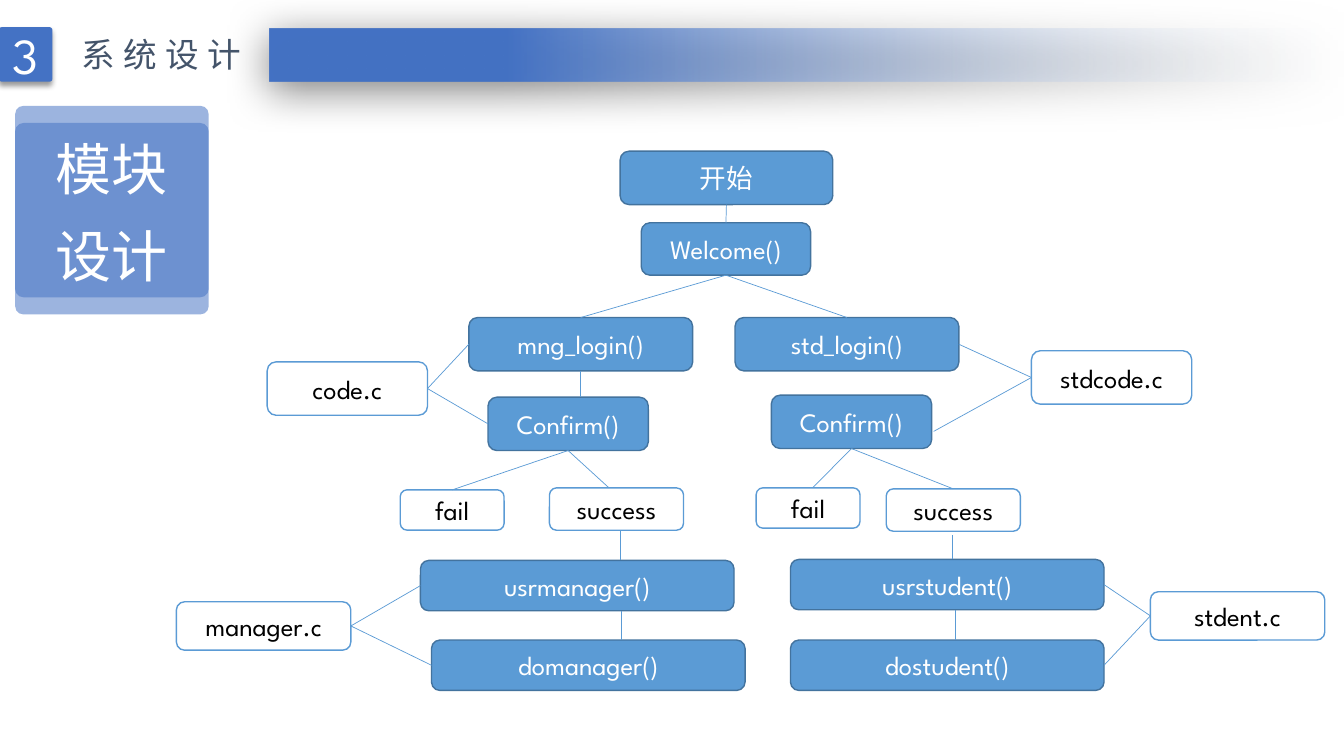
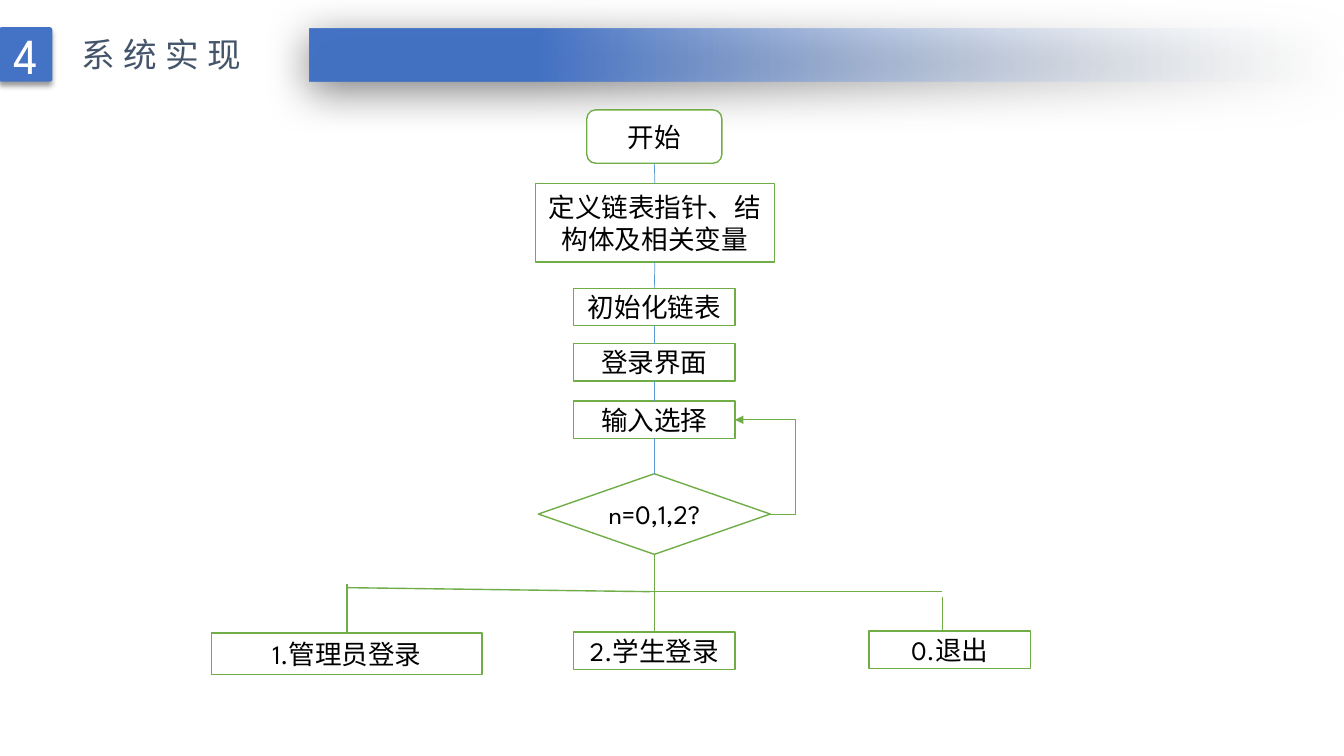
from lxml import etree
from pptx import Presentation
from pptx import util as u
from pptx.dml.color import RGBColor
from pptx.enum import shapes, text
from pptx.oxml.ns import qn

WHITE = RGBColor(0xFF, 0xFF, 0xFF)
BLACK = RGBColor(0x00, 0x00, 0x00)
ROYAL = RGBColor(0x44, 0x72, 0xC4)
PALE = RGBColor(0xF7, 0xFA, 0xFD)
SLATE = RGBColor(0x44, 0x54, 0x6A)
SKY = RGBColor(0x5B, 0x9B, 0xD5)
STEEL = RGBColor(0x43, 0x73, 0x9E)
GREEN = RGBColor(0x70, 0xAD, 0x47)

LATIN, CHINESE = "League Spartan", "Noto Sans CJK SC"
SLIDE_WIDTH = 13.33
RECT = shapes.MSO_SHAPE.RECTANGLE
ROUND = shapes.MSO_SHAPE.ROUNDED_RECTANGLE
DECISION = shapes.MSO_SHAPE.FLOWCHART_DECISION
TOP, LEFT, BOTTOM, RIGHT = range(4)

# Node styles: fill, outline, text colour
CALL = (SKY, STEEL, WHITE)
FILE = (WHITE, SKY, BLACK)
STEP = (WHITE, GREEN, BLACK)

# Nodes: key: (text, style, preset, left, top, width, height)
MODULE_NODES = {
    "start": ("开始", CALL, ROUND, 6.15, 1.5, 2.11, 0.53),
    "welcome": ("Welcome()", CALL, ROUND, 6.36, 2.21, 1.68, 0.52),
    "std_login": ("std_login()", CALL, ROUND, 7.29, 3.15, 2.22, 0.53),
    "mng_login": ("mng_login()", CALL, ROUND, 4.65, 3.15, 2.22, 0.53),
    "mng_confirm": ("Confirm()", CALL, ROUND, 4.84, 3.94, 1.59, 0.53),
    "usrmanager": ("usrmanager()", CALL, ROUND, 4.17, 5.56, 3.11, 0.5),
    "manager.c": ("manager.c", FILE, ROUND, 1.75, 5.97, 1.73, 0.48),
    "mng_success": ("success", FILE, ROUND, 5.45, 4.84, 1.33, 0.42),
    "mng_fail": ("fail", FILE, ROUND, 3.97, 4.86, 1.03, 0.4),
    "code.c": ("code.c", FILE, ROUND, 2.65, 3.59, 1.59, 0.53),
    "std_confirm": ("Confirm()", CALL, ROUND, 7.65, 3.92, 1.59, 0.53),
    "usrstudent": ("usrstudent()", CALL, ROUND, 7.84, 5.55, 3.11, 0.5),
    "stdent.c": ("stdent.c", FILE, ROUND, 11.41, 5.87, 1.73, 0.48),
    "std_success": ("success", FILE, ROUND, 8.79, 4.85, 1.33, 0.42),
    "std_fail": ("fail", FILE, ROUND, 7.5, 4.84, 1.03, 0.4),
    "stdcode.c": ("stdcode.c", FILE, ROUND, 10.23, 3.48, 1.59, 0.53),
    "domanager": ("domanager()", CALL, ROUND, 4.28, 6.35, 3.11, 0.5),
    "dostudent": ("dostudent()", CALL, ROUND, 7.84, 6.35, 3.11, 0.5),
}

# Link ends: (node key, side) or a free point (x, y)
MODULE_LINKS = [
    (("start", BOTTOM), ("welcome", TOP)),
    (("welcome", BOTTOM), ("mng_login", TOP)),
    (("welcome", BOTTOM), ("std_login", TOP)),
    (("mng_login", BOTTOM), (5.76, 3.94)),
    (("mng_login", LEFT), ("code.c", RIGHT)),
    (("mng_confirm", LEFT), ("code.c", RIGHT)),
    (("mng_confirm", BOTTOM), ("mng_fail", TOP)),
    (("mng_confirm", BOTTOM), (6.04, 4.84)),
    ((6.15, 5.26), (6.15, 5.56)),
    (("usrmanager", LEFT), ("manager.c", RIGHT)),
    (("domanager", LEFT), ("manager.c", RIGHT)),
    ((6.16, 6.06), (6.16, 6.35)),
    (("std_login", RIGHT), ("stdcode.c", LEFT)),
    (("stdcode.c", LEFT), (9.26, 4.28)),
    (("std_confirm", BOTTOM), (8.06, 4.84)),
    (("std_confirm", BOTTOM), ("std_success", TOP)),
    ((9.45, 5.31), (9.45, 5.55)),
    (("stdent.c", LEFT), ("usrstudent", RIGHT)),
    (("stdent.c", LEFT), ("dostudent", RIGHT)),
    ((9.48, 6.05), (9.48, 6.35)),
]

FLOW_NODES = {
    "start": ("开始", STEP, ROUND, 5.82, 1.09, 1.34, 0.53),
    "define": ("定义链表指针、结构体及相关变量", STEP, RECT, 5.31, 1.82, 2.37, 0.78),
    "init": ("初始化链表", STEP, RECT, 5.69, 2.86, 1.6, 0.37),
    "login": ("登录界面", STEP, RECT, 5.69, 3.41, 1.6, 0.37),
    "input": ("输入选择", STEP, RECT, 5.69, 3.98, 1.6, 0.37),
    "choice": ("n=0,1,2?", STEP, DECISION, 5.34, 4.7, 2.3, 0.8),
    "manager": ("1.管理员登录", STEP, RECT, 2.1, 6.28, 2.68, 0.41),
    "student": ("2.学生登录", STEP, RECT, 5.69, 6.27, 1.6, 0.37),
    "exit": ("0.退出", STEP, RECT, 8.62, 6.26, 1.6, 0.37),
}
FLOW_ORDER = ["start", "define", "init", "login", "input", "choice"]
FLOW_LINKS = [((a, BOTTOM), (b, TOP)) for a, b in zip(FLOW_ORDER, FLOW_ORDER[1:])]
BRANCH_LINKS = [
    (("choice", BOTTOM), ("student", TOP)),
    ((6.45, 5.87), (3.44, 5.83)),
    ((3.44, 5.79), ("manager", TOP)),
    ((6.45, 5.87), (9.34, 5.87)),
    ((9.35, 5.92), (9.35, 6.26)),
]


def add_xml(parent, tag, **attributes):
    values = {name: str(value) for name, value in attributes.items()}
    return etree.SubElement(parent, qn(tag), values)


def set_alpha(shape, index, percent):
    """Set the opacity of one of the colours in a shape's fill."""
    colour = list(shape.element.spPr.iter(qn("a:srgbClr")))[index]
    add_xml(colour, "a:alpha", val=percent * 1000)


def add_shadow(shape, opacity, blur, distance, angle):
    effects = shape.element.spPr.find(qn("a:effectLst"))
    outer = add_xml(effects, "a:outerShdw", blurRad=u.Pt(blur), dist=u.Pt(distance),
                    dir=angle * 60000, algn="ctr", rotWithShape=0)
    add_xml(add_xml(outer, "a:srgbClr", val=BLACK), "a:alpha", val=opacity * 1000)


def add_box(parent, preset, left, top, width, height, fill=None, outline=None):
    box = parent.shapes.add_shape(preset, *map(u.Inches, (left, top, width, height)))
    box.shadow.inherit = False
    if fill is not None:
        box.fill.solid()
        box.fill.fore_color.rgb = fill
    if outline is None:
        box.line.fill.background()
    else:
        box.line.color.rgb = outline
        box.line.width = u.Pt(1)
    return box


def write(box, words, size, colour, latin=LATIN, align=text.PP_ALIGN.CENTER,
          anchor=text.MSO_ANCHOR.MIDDLE):
    frame = box.text_frame
    frame.word_wrap = True
    frame.vertical_anchor = anchor
    para = frame.paragraphs[0]
    para.alignment = align
    span = para.add_run()
    span.text = words
    for name, value in {"size": u.Pt(size), "name": latin}.items():
        setattr(span.font, name, value)
    span.font.color.rgb = colour
    add_xml(span.font._element, "a:ea", typeface=CHINESE)
    return para, span


def add_header(page, number, title, bar_left):
    bar = add_box(page, RECT, bar_left, 0.28, SLIDE_WIDTH - bar_left, 0.53)
    bar.fill.gradient()
    bar.fill.gradient_angle = 180
    for stop, (position, colour) in zip(bar.fill.gradient_stops, [(0, PALE), (0.78, ROYAL)]):
        stop.position = position
        stop.color.rgb = colour
    set_alpha(bar, 0, 0)
    add_shadow(bar, 50, 31, 6, 97)

    tab = add_box(page, ROUND, -0.01, 0.27, 0.53, 0.54, ROYAL)
    tab.adjustments[0] = 0.05
    add_shadow(tab, 40, 4, 3, 90)
    write(tab, number, 36, WHITE)

    box = page.shapes.add_textbox(*map(u.Inches, (0.71, 0.29, 1.88, 0.5)))
    _, span = write(box, title, 24, SLATE, CHINESE, text.PP_ALIGN.LEFT, text.MSO_ANCHOR.TOP)
    span.font._element.set("spc", "600")
    box.text_frame.word_wrap = False
    box.text_frame.auto_size = text.MSO_AUTO_SIZE.SHAPE_TO_FIT_TEXT


def add_badge(page, words):
    """Add two overlapping translucent plates, the front one with text."""
    group = page.shapes.add_group_shape()
    for top in (1.22, 1.05):
        plate = add_box(group, ROUND, 0.15, top, 1.92, 1.9, ROYAL)
        plate.adjustments[0] = 0.044
        set_alpha(plate, 0, 53)
    para, _ = write(plate, words, 40, WHITE, CHINESE)
    para.line_spacing = 1.3


def add_nodes(page, nodes):
    boxes = {}
    for key, (words, (fill, outline, ink), preset, *place) in nodes.items():
        boxes[key] = add_box(page, preset, *place, fill, outline)
        write(boxes[key], words, 19, ink)
    return boxes


def locate(boxes, end):
    """Return the position of a link end in EMU."""
    if end[0] not in boxes:
        return tuple(map(u.Inches, end))
    box, side = boxes[end[0]], end[1]
    across = {LEFT: 0, RIGHT: box.width}.get(side, box.width // 2)
    down = {TOP: 0, BOTTOM: box.height}.get(side, box.height // 2)
    return box.left + across, box.top + down


def add_link(page, boxes, start, end, colour, width, kind=shapes.MSO_CONNECTOR.STRAIGHT):
    link = page.shapes.add_connector(kind, *locate(boxes, start), *locate(boxes, end))
    for join, (key, side) in ((link.begin_connect, start), (link.end_connect, end)):
        if key in boxes:
            join(boxes[key], side)
    link.line.color.rgb = colour
    link.line.width = u.Pt(width)
    add_xml(link.element.spPr, "a:effectLst")
    return link


def add_links(page, boxes, links, colour, width):
    for start, end in links:
        add_link(page, boxes, start, end, colour, width)


def add_return_arrow(page, boxes, start, end):
    """Add an elbow arrow that bulges out to the right of both ends."""
    arrow = add_link(page, boxes, start, end, GREEN, 0.5, shapes.MSO_CONNECTOR.ELBOW)
    properties = arrow.element.spPr
    guides = properties.find(qn("a:prstGeom")).get_or_add_avLst()
    add_xml(guides, "a:gd", name="adj1", fmla="val -72100")
    add_xml(properties.find(qn("a:ln")), "a:tailEnd", type="triangle")


def build_modules(page):
    add_header(page, "3", "系统设计", 2.67)
    add_badge(page, "模块 设计")
    boxes = add_nodes(page, MODULE_NODES)
    add_links(page, boxes, MODULE_LINKS, SKY, 0.5)


def build_flow(page):
    add_header(page, "4", "系统实现", 3.07)
    boxes = add_nodes(page, FLOW_NODES)
    add_links(page, boxes, BRANCH_LINKS, GREEN, 1)
    add_return_arrow(page, boxes, ("choice", RIGHT), ("input", RIGHT))
    add_links(page, boxes, FLOW_LINKS, SKY, 0.5)


def main():
    deck = Presentation()
    deck.slide_width, deck.slide_height = u.Inches(SLIDE_WIDTH), u.Inches(7.5)
    for build in (build_modules, build_flow):
        build(deck.slides.add_slide(deck.slide_layouts[6]))
    deck.save("out.pptx")


if __name__ == "__main__":
    main()
